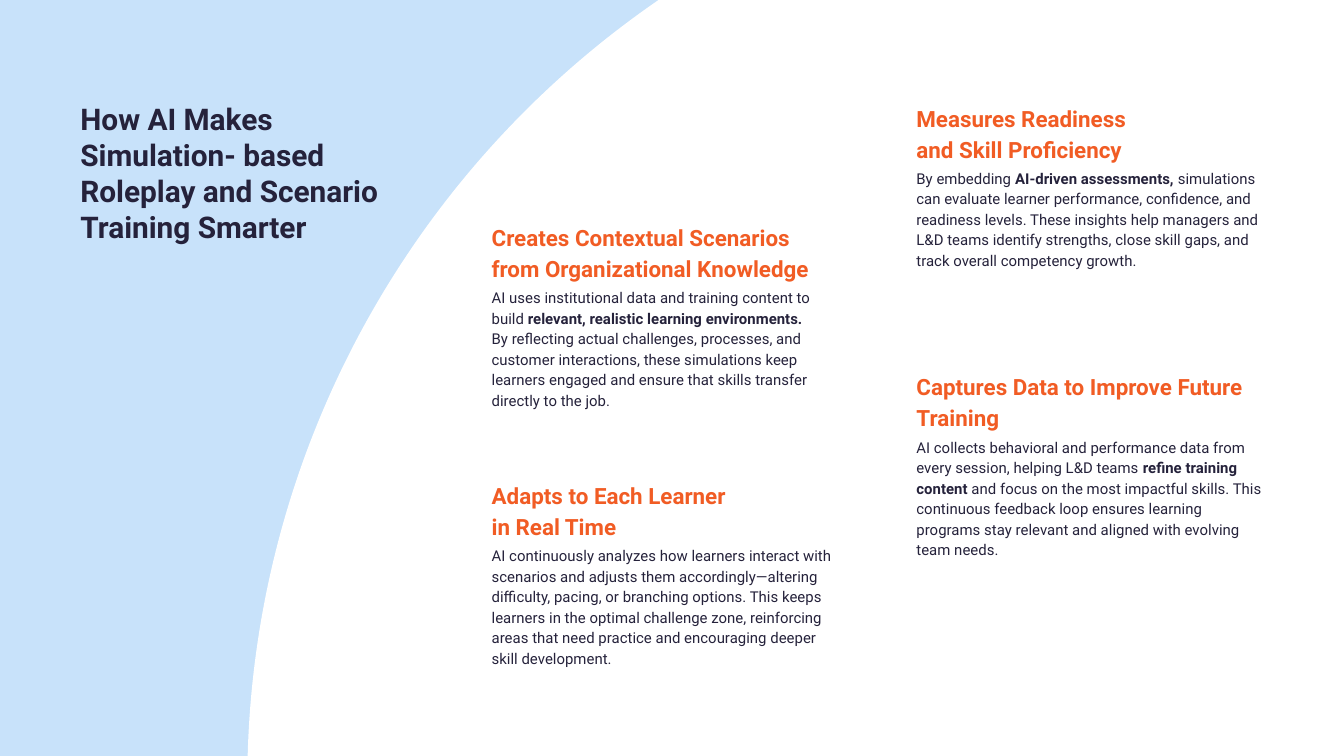
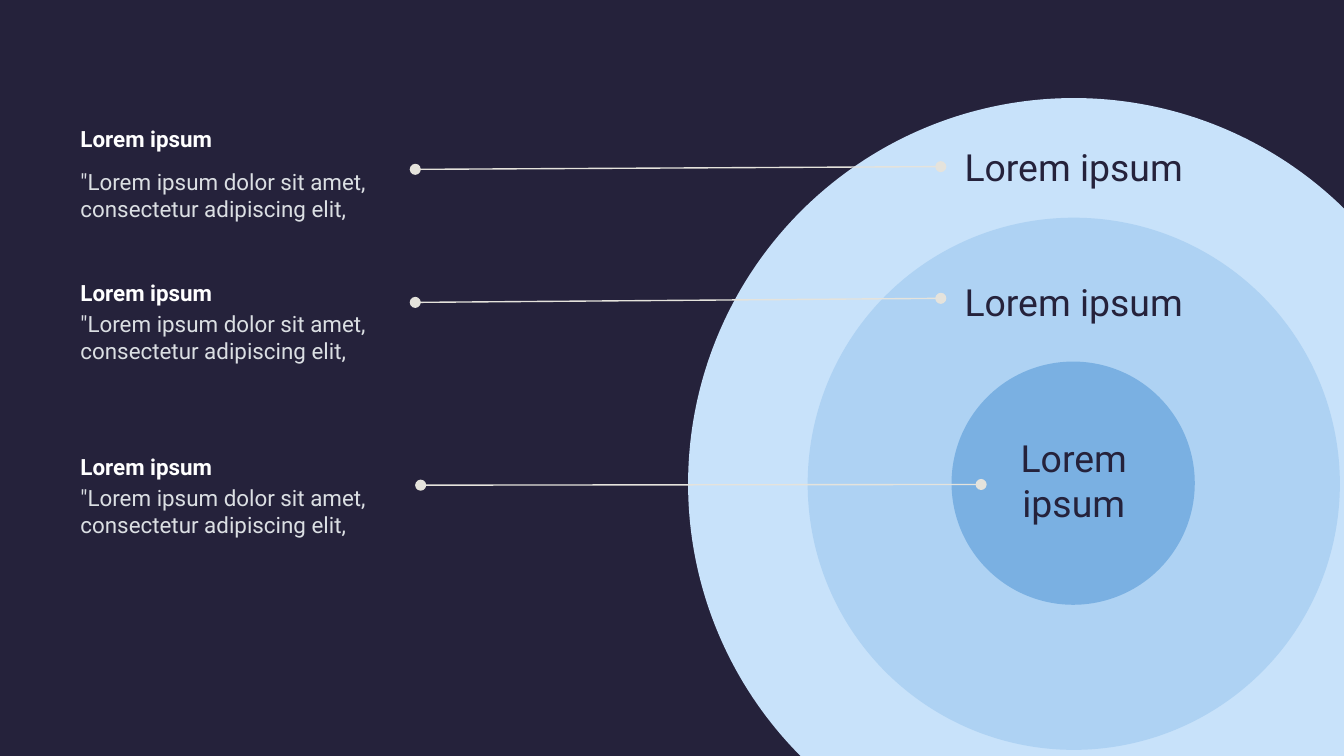
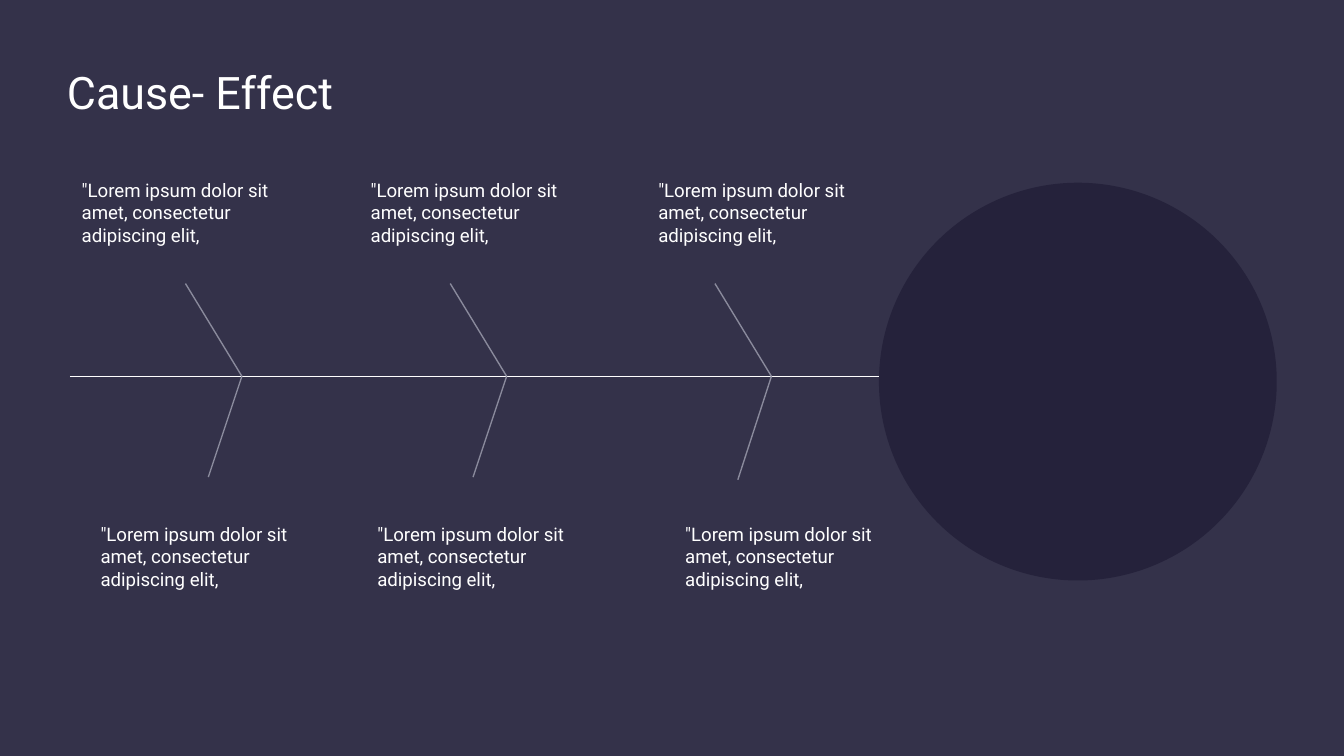
from dataclasses import dataclass

from lxml import etree
from pptx import Presentation
from pptx import util as u
from pptx.dml.color import RGBColor
from pptx.enum import shapes, text
from pptx.oxml.ns import qn

NAVY = RGBColor(0x25, 0x22, 0x3B)
SLATE = RGBColor(0x34, 0x32, 0x4A)
GREY = RGBColor(0x8A, 0x8A, 0x9C)
WHITE = RGBColor(0xFF, 0xFF, 0xFF)
MIST = RGBColor(0xDB, 0xDF, 0xE3)
SAND = RGBColor(0xE5, 0xE3, 0xDC)
ORANGE = RGBColor(0xF1, 0x5C, 0x24)
SKY = RGBColor(0xC8, 0xE2, 0xFA)
LIGHT_BLUE = RGBColor(0xAE, 0xD2, 0xF3)
BLUE = RGBColor(0x7A, 0xB0, 0xE2)

FONT = "Roboto"
LOREM = "Lorem ipsum"
LOREM_LONG = '"Lorem ipsum dolor sit amet, consectetur adipiscing elit,'


@dataclass(frozen=True)
class Style:
    size: float
    color: RGBColor
    bold: bool = False
    spacing: float | None = None
    centered: bool = False
    grow: bool = True


@dataclass(frozen=True)
class Topic:
    left: float
    top: float
    heading: str
    body: str
    body_width: float = 2.78
    body_height: float = 1.11


@dataclass(frozen=True)
class Ring:
    left: float
    top: float
    diameter: float
    color: RGBColor


@dataclass(frozen=True)
class Callout:
    heading_top: float
    body_top: float
    label_box: tuple[float, float, float, float]
    start: tuple[float, float]
    end: tuple[float, float]


TITLE = Style(16, NAVY, bold=True)
HEADING = Style(12, ORANGE, bold=True, spacing=1.15)
BODY = Style(8, NAVY, spacing=1.15)
RING_LABEL = Style(20, NAVY, centered=True, grow=False)
CALLOUT_HEADING = Style(12, WHITE, bold=True)
CALLOUT_BODY = Style(12, MIST)
FISHBONE_TITLE = Style(24, WHITE, grow=False)
CAUSE = Style(10, WHITE)

TOPICS = [
    Topic(3.56, 1.54, "Creates Contextual Scenarios from Organizational Knowledge",
          "AI uses institutional data and training content to build "
          "**relevant, realistic learning environments.** By reflecting actual "
          "challenges, processes, and customer interactions, these simulations keep "
          "learners engaged and ensure that skills transfer directly to the job.",
          body_width=2.62),
    Topic(6.72, 0.65, "Measures Readiness\nand Skill Proficiency",
          "By embedding **AI-driven assessments, **simulations can evaluate learner "
          "performance, confidence, and readiness levels. These insights help managers "
          "and L&D teams identify strengths, close skill gaps, and track overall "
          "competency growth."),
    Topic(6.72, 2.65, "Captures Data to Improve Future Training",
          "AI collects behavioral and performance data from every session, helping L&D "
          "teams **refine training content** and focus on the most impactful skills. "
          "This continuous feedback loop ensures learning programs stay relevant and "
          "aligned with evolving team needs."),
    Topic(3.56, 3.46, "Adapts to Each Learner\nin Real Time",
          "AI continuously analyzes how learners interact with scenarios and adjusts "
          "them accordingly—altering difficulty, pacing, or branching options. This "
          "keeps learners in the optimal challenge zone, reinforcing areas that need "
          "practice and encouraging deeper skill development.",
          body_height=1.27),
]

RINGS = [
    Ring(5.12, 0.73, 5.74, SKY),
    Ring(6.01, 1.62, 3.96, LIGHT_BLUE),
    Ring(7.08, 2.69, 1.81, BLUE),
]

CALLOUTS = [
    Callout(0.83, 1.15, (6.96, 0.97, 2.06, 0.52), (7, 1.24), (3.09, 1.26)),
    Callout(1.98, 2.21, (6.96, 1.98, 2.06, 0.52), (7, 2.22), (3.09, 2.25)),
    Callout(3.27, 3.5, (7.3, 3.14, 1.38, 0.93), (7.3, 3.6), (3.13, 3.61)),
]


def add_slide(prs, background: RGBColor):
    s = prs.slides.add_slide(prs.slide_layouts[6])
    s.background.fill.solid()
    s.background.fill.fore_color.rgb = background
    return s


def add_filled(s, kind, left: float, top: float, width: float, height: float,
               color: RGBColor):
    sp = s.shapes.add_shape(kind, *map(u.Inches, (left, top, width, height)))
    sp.shadow.inherit = False
    sp.fill.solid()
    sp.fill.fore_color.rgb = color
    sp.line.fill.background()
    return sp


def add_circle(s, left: float, top: float, diameter: float, color: RGBColor):
    return add_filled(s, shapes.MSO_SHAPE.OVAL, left, top, diameter, diameter, color)


def add_text(s, left: float, top: float, width: float, height: float,
             content: str, style: Style):
    """Newlines start paragraphs; ** marks switch bold on and off."""
    sp = s.shapes.add_textbox(*map(u.Inches, (left, top, width, height)))
    tf = sp.text_frame
    fit = text.MSO_AUTO_SIZE
    frame_format = {
        "word_wrap": True,
        "auto_size": fit.SHAPE_TO_FIT_TEXT if style.grow else fit.NONE,
        **{f"margin_{side}": u.Inches(0.1) for side in ("left", "top", "right", "bottom")},
    }
    for name, value in frame_format.items():
        setattr(tf, name, value)
    for i, line in enumerate(content.split("\n")):
        p = tf.add_paragraph() if i else tf.paragraphs[0]
        p.alignment = text.PP_ALIGN.CENTER if style.centered else text.PP_ALIGN.LEFT
        p.line_spacing = style.spacing
        for j, part in enumerate(line.split("**")):
            r = p.add_run()
            r.text = part
            run_format = {"name": FONT, "size": u.Pt(style.size),
                          "bold": style.bold or j % 2 == 1}
            for name, value in run_format.items():
                setattr(r.font, name, value)
            r.font.color.rgb = style.color
    return sp


def add_line(s, start: tuple[float, float], end: tuple[float, float],
             color: RGBColor, dots: bool = False):
    c = s.shapes.add_connector(shapes.MSO_CONNECTOR.STRAIGHT,
                               *map(u.Inches, (*start, *end)))
    c.line.width = u.Pt(0.75)
    c.line.color.rgb = color
    if dots:
        ln = c.line._get_or_add_ln()
        for tag in ("a:headEnd", "a:tailEnd"):
            etree.SubElement(ln, qn(tag), type="oval")
    etree.SubElement(c._element.spPr, qn("a:effectLst"))
    return c


def build_topics(prs) -> None:
    s = add_slide(prs, WHITE)
    # Blue field cut by a large white circle
    field = add_filled(s, shapes.MSO_SHAPE.RECTANGLE, -0.06, -0.11, 7.65, 5.77, SKY)
    field.line.color.rgb = GREY
    field.line.width = u.Pt(0.75)
    add_circle(s, 1.84, -1.24, 14.11, WHITE)
    add_text(s, 0.5, 0.65, 2.69, 1.28,
             "How AI Makes Simulation- based Roleplay and Scenario Training Smarter", TITLE)
    # Heading with its body just below
    for t in TOPICS:
        add_text(s, t.left, t.top + 0.49, t.body_width, t.body_height, t.body, BODY)
        add_text(s, t.left, t.top, 2.78, 0.64, t.heading, HEADING)


def build_rings(prs) -> None:
    s = add_slide(prs, NAVY)
    for ring in RINGS:
        add_circle(s, ring.left, ring.top, ring.diameter, ring.color)
    # Ring labels, leader lines and explanations
    labels = [add_text(s, *c.label_box, LOREM, RING_LABEL) for c in CALLOUTS]
    leaders = [add_line(s, c.start, c.end, SAND, dots=True) for c in CALLOUTS]
    leaders[-1].begin_connect(labels[-1], 1)
    for c in CALLOUTS:
        add_text(s, 0.5, c.body_top, 2.48, 0.61, LOREM_LONG, CALLOUT_BODY)
        add_text(s, 0.5, c.heading_top, 1.38, 0.4, LOREM, CALLOUT_HEADING)


def build_fishbone(prs) -> None:
    s = add_slide(prs, SLATE)
    add_text(s, 0.4, 0.38, 3.04, 0.52, "Cause- Effect", FISHBONE_TITLE)
    # Causes above and below the spine
    for top, lefts in ((1.23, (0.51, 2.66, 4.8)), (3.79, (0.65, 2.71, 5))):
        for left in lefts:
            add_text(s, left, top, 1.74, 0.71, LOREM_LONG, CAUSE)
    # Spine with evenly spaced ribs
    spine_y = 2.8
    add_line(s, (0.52, spine_y), (6.63, spine_y), WHITE)
    for i, rib_bottom in enumerate((3.55, 3.55, 3.57)):
        joint = 1.8 + 1.97 * i
        add_line(s, (joint, spine_y), (joint - 0.42, 2.11), GREY)
        add_line(s, (joint - 0.25, rib_bottom), (joint, spine_y), GREY)
    # Effect
    add_circle(s, 6.54, 1.36, 2.96, NAVY)


def main() -> None:
    prs = Presentation()
    # Widescreen, 16:9
    prs.slide_width = u.Inches(10)
    prs.slide_height = u.Inches(10 * 9 / 16)
    build_topics(prs)
    build_rings(prs)
    build_fishbone(prs)
    prs.save("out.pptx")


if __name__ == "__main__":
    main()
